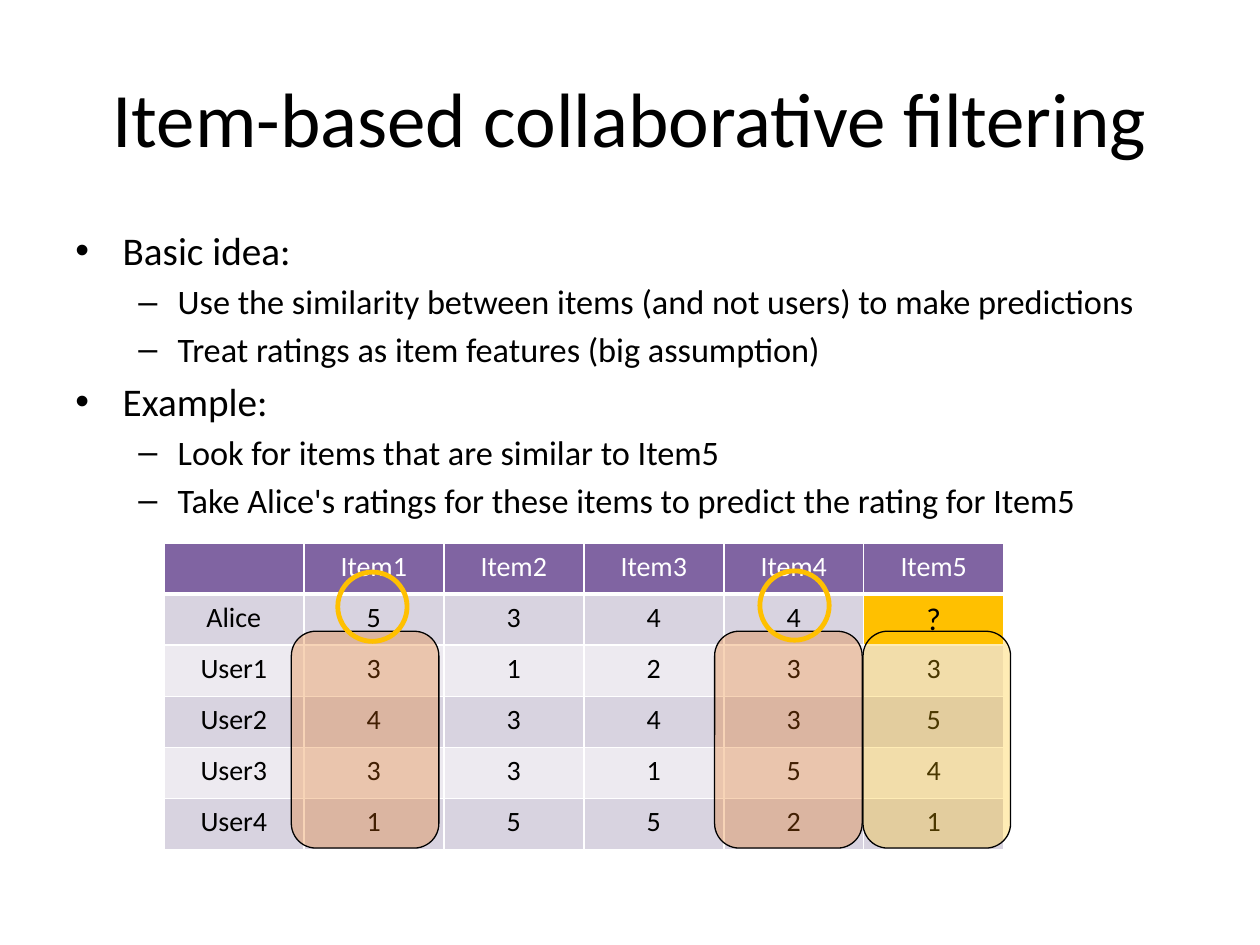
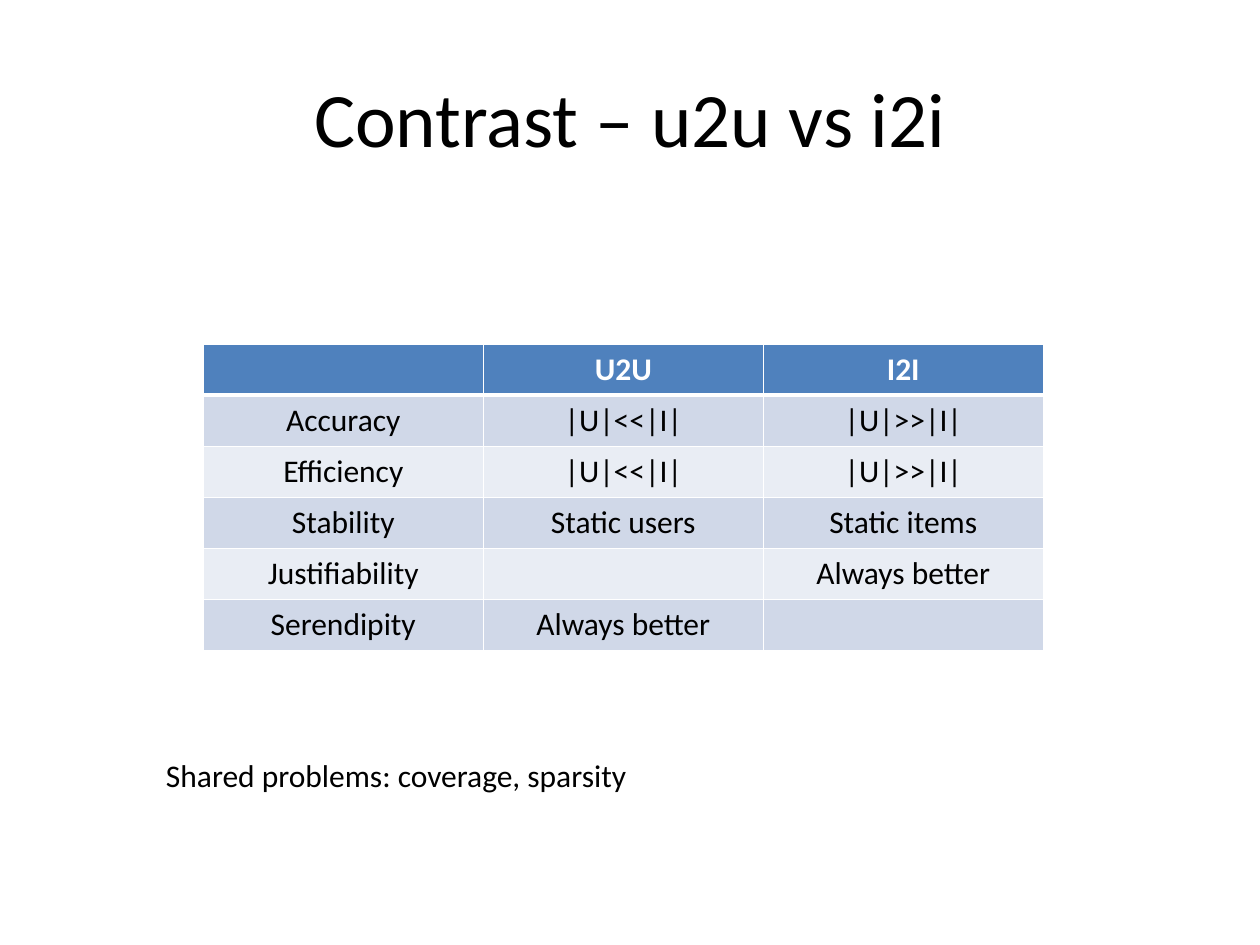
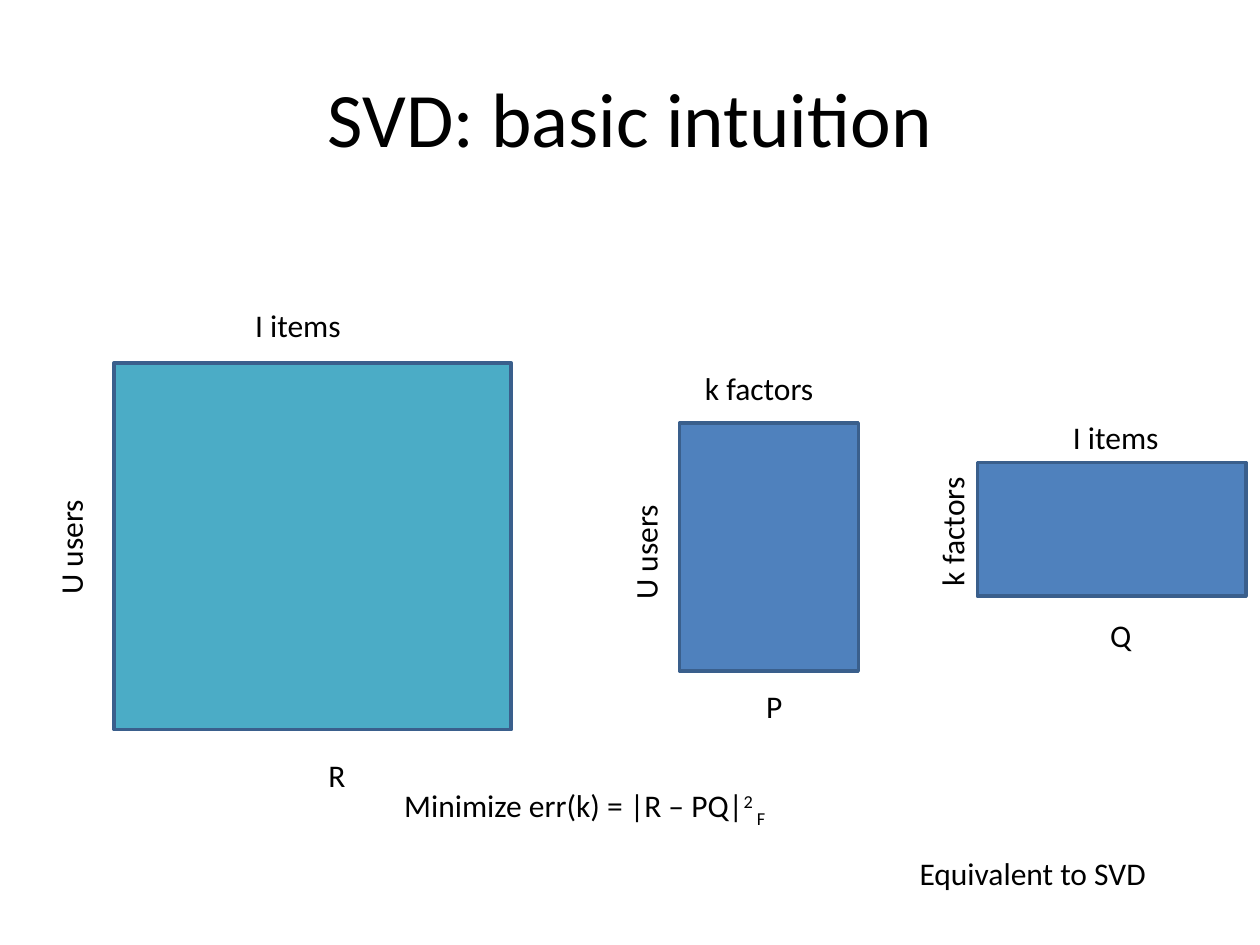
from lxml.etree import SubElement
from pptx import Presentation
from pptx.dml.color import RGBColor
from pptx.enum.shapes import MSO_SHAPE
from pptx.enum.text import MSO_ANCHOR, PP_ALIGN
from pptx.oxml import parse_xml
from pptx.oxml.ns import nsdecls, qn
from pptx.util import Pt

FONT = "Calibri"
BLACK, WHITE = "000000", "FFFFFF"
BLUE, TEAL, OUTLINE = "4F81BD", "4BACC6", "3A5F8C"
PURPLE, ORANGE, GOLD = "8064A2", "E46C0A", "FFC000"
PURPLE_BANDS = ("D8D3E0", "EDEAF0")
BLUE_BANDS = ("D0D8E8", "E9EDF4")
ROW_HEIGHT = 29.2
LABEL_HEIGHT = 29

# Per outline level: bullet, text size, left margin, hanging indent
BULLET_LEVELS = (("•", 22.4, 27, 27), ("–", 19.6, 58.5, 22.5))


def color(hex_string):
    return RGBColor.from_string(hex_string)


def format_runs(paragraph, size, text_color=BLACK, bold=False):
    for run in paragraph.runs:
        run.font.name = FONT
        run.font.size = Pt(size)
        run.font.bold = bold
        run.font.color.rgb = color(text_color)


def add_text(slide, text, left, top, width, height=LABEL_HEIGHT, size=18,
             align=PP_ALIGN.CENTER, anchor=MSO_ANCHOR.TOP, rotation=0):
    box = slide.shapes.add_textbox(Pt(left), Pt(top), Pt(width), Pt(height))
    box.rotation = rotation
    text_frame = box.text_frame
    text_frame.word_wrap = True
    text_frame.vertical_anchor = anchor
    text_frame.text = text
    paragraph = text_frame.paragraphs[0]
    paragraph.alignment = align
    format_runs(paragraph, size)
    return paragraph


def add_titled_slide(presentation, title):
    slide = presentation.slides.add_slide(presentation.slide_layouts[6])
    add_text(slide, title, 36, 21.6, 648, 90, size=44, anchor=MSO_ANCHOR.MIDDLE)
    return slide


def add_bullets(slide, items, left, top, width, height):
    box = slide.shapes.add_textbox(Pt(left), Pt(top), Pt(width), Pt(height))
    text_frame = box.text_frame
    text_frame.word_wrap = True
    text_frame.text = "\n".join(text for _, text in items)
    for paragraph, (level, _) in zip(text_frame.paragraphs, items):
        bullet, size, margin, hanging = BULLET_LEVELS[level]
        paragraph.level = level
        paragraph.space_before = Pt(round(size * 0.2, 1))
        format_runs(paragraph, size)
        properties = paragraph._p.get_or_add_pPr()
        properties.set("marL", str(Pt(margin)))
        properties.set("indent", str(-Pt(hanging)))
        SubElement(properties, qn("a:buFont"), typeface="Arial")
        SubElement(properties, qn("a:buChar"), char=bullet)


def set_borders(cell, top, bottom):
    """Draw white borders; left and right are 1 pt wide."""
    properties = cell._tc.get_or_add_tcPr()
    sides = (("lnL", 1), ("lnR", 1), ("lnT", top), ("lnB", bottom))
    for position, (side, width) in enumerate(sides):
        properties.insert(position, parse_xml(
            f'<a:{side} {nsdecls("a")} w="{Pt(width)}"><a:solidFill>'
            f'<a:srgbClr val="{WHITE}"/></a:solidFill></a:{side}>'))


def add_table(slide, rows, left, top, header_fill, bands, size, header_bold):
    width = 480
    frame = slide.shapes.add_table(len(rows), len(rows[0]), Pt(left), Pt(top),
                                   Pt(width), Pt(ROW_HEIGHT * len(rows)))
    table = frame.table
    for column in table.columns:
        column.width = Pt(width / len(rows[0]))
    for row_index, values in enumerate(rows):
        table.rows[row_index].height = Pt(ROW_HEIGHT)
        is_header = row_index == 0
        for column_index, value in enumerate(values):
            cell = table.cell(row_index, column_index)
            cell.text = value
            paragraph = cell.text_frame.paragraphs[0]
            paragraph.alignment = PP_ALIGN.CENTER
            format_runs(paragraph, size, WHITE if is_header else BLACK,
                        is_header and header_bold)
            cell.fill.solid()
            cell.fill.fore_color.rgb = color(
                header_fill if is_header else bands[(row_index - 1) % 2])
            set_borders(cell, top=3 if row_index == 1 else 1,
                        bottom=3 if is_header else 1)
    return table


def add_shape(slide, kind, left, top, width, height, fill, line, line_width,
              opacity=None):
    shape = slide.shapes.add_shape(kind, Pt(left), Pt(top), Pt(width), Pt(height))
    shape.shadow.inherit = False
    shape.line.color.rgb = color(line)
    shape.line.width = Pt(line_width)
    if fill is None:
        shape.fill.background()
        return
    shape.fill.solid()
    shape.fill.fore_color.rgb = color(fill)
    if opacity is not None:
        fill_color = shape._element.spPr.find(qn("a:solidFill"))[0]
        SubElement(fill_color, qn("a:alpha"), val=str(opacity * 1000))


def add_matrix(slide, box, fill, top_label, side_label, name):
    """Draw a matrix block; each label is (text, left, top, width)."""
    add_shape(slide, MSO_SHAPE.RECTANGLE, *box, fill, OUTLINE, 2)
    add_text(slide, *top_label)
    add_text(slide, *side_label, rotation=270)
    add_text(slide, *name)


def build_filtering_slide(presentation):
    slide = add_titled_slide(presentation, "Item-based collaborative filtering")
    add_bullets(slide, (
        (0, "Basic idea:"),
        (1, "Use the similarity between items (and not users) to make predictions"),
        (1, "Treat ratings as item features (big assumption)"),
        (0, "Example:"),
        (1, "Look for items that are similar to Item5"),
        (1, "Take Alice's ratings for these items to predict the rating for Item5"),
    ), 36, 126, 648, 161.3)
    ratings = (
        ("", "Item1", "Item2", "Item3", "Item4", "Item5"),
        ("Alice", "5", "3", "4", "4", "?"),
        ("User1", "3", "1", "2", "3", "3"),
        ("User2", "4", "3", "4", "3", "5"),
        ("User3", "3", "3", "1", "5", "4"),
        ("User4", "1", "5", "5", "2", "1"),
    )
    table = add_table(slide, ratings, 93.6, 310.3, PURPLE, PURPLE_BANDS, 16, False)
    unknown_rating = table.cell(1, 5)
    unknown_rating.fill.fore_color.rgb = color(GOLD)
    format_runs(unknown_rating.text_frame.paragraphs[0], 18)

    for left, fill in ((493.2, GOLD), (166.5, ORANGE), (408.4, ORANGE)):
        add_shape(slide, MSO_SHAPE.ROUNDED_RECTANGLE, left, 360.7, 84.3, 123.9,
                  fill, BLACK, 0.75, opacity=29)
    for left, top in ((193, 326.9), (434.2, 326.2)):
        add_shape(slide, MSO_SHAPE.OVAL, left, top, 39.6, 39.6, None, GOLD, 2.75)


def build_contrast_slide(presentation):
    slide = add_titled_slide(presentation, "Contrast – u2u vs i2i")
    comparison = (
        ("", "U2U", "I2I"),
        ("Accuracy", "|U|<<|I|", "|U|>>|I|"),
        ("Efficiency", "|U|<<|I|", "|U|>>|I|"),
        ("Stability", "Static users", "Static items"),
        ("Justifiability", "", "Always better"),
        ("Serendipity", "Always better", ""),
    )
    add_table(slide, comparison, 116.2, 196.6, BLUE, BLUE_BANDS, 18, True)
    add_text(slide, "Shared problems: coverage, sparsity", 87.8, 428.4, 544.3,
             align=PP_ALIGN.LEFT)


def build_svd_slide(presentation):
    slide = add_titled_slide(presentation, "SVD: basic intuition")
    add_matrix(slide, (65.2, 207.4, 227, 209.5), TEAL,
               ("I items", 96.5, 171.4, 147.6),
               ("U users", -56.2, 298.1, 193), ("R", 115.9, 428.4, 153.4))
    add_matrix(slide, (388.3, 241.7, 102.2, 141.8), BLUE,
               ("k factors", 360, 207.4, 147.6),
               ("U users", 272.2, 301, 193), ("P", 416.9, 388.8, 51.1))
    add_matrix(slide, (558.5, 264.2, 153.4, 76.5), BLUE,
               ("I items", 563.8, 235.4, 147.6),
               ("k factors", 470.2, 289.4, 147.6), ("Q", 614.9, 348.5, 51.1))
    formula = add_text(slide, "Minimize err(k) = |R – PQ|", 223.9, 445.7, 430.6,
                       align=PP_ALIGN.LEFT)
    for text, baseline in (("2 ", 30), ("F", -25)):
        run = formula.add_run()
        run.text = text
        run.font._element.set("baseline", str(baseline * 1000))
    format_runs(formula, 18)
    add_text(slide, "Equivalent to SVD", 518.4, 484.6, 175.7, align=PP_ALIGN.LEFT)


def main():
    presentation = Presentation()
    presentation.slide_width = Pt(720)
    presentation.slide_height = Pt(540)
    build_filtering_slide(presentation)
    build_contrast_slide(presentation)
    build_svd_slide(presentation)
    presentation.save("out.pptx")


if __name__ == "__main__":
    main()
